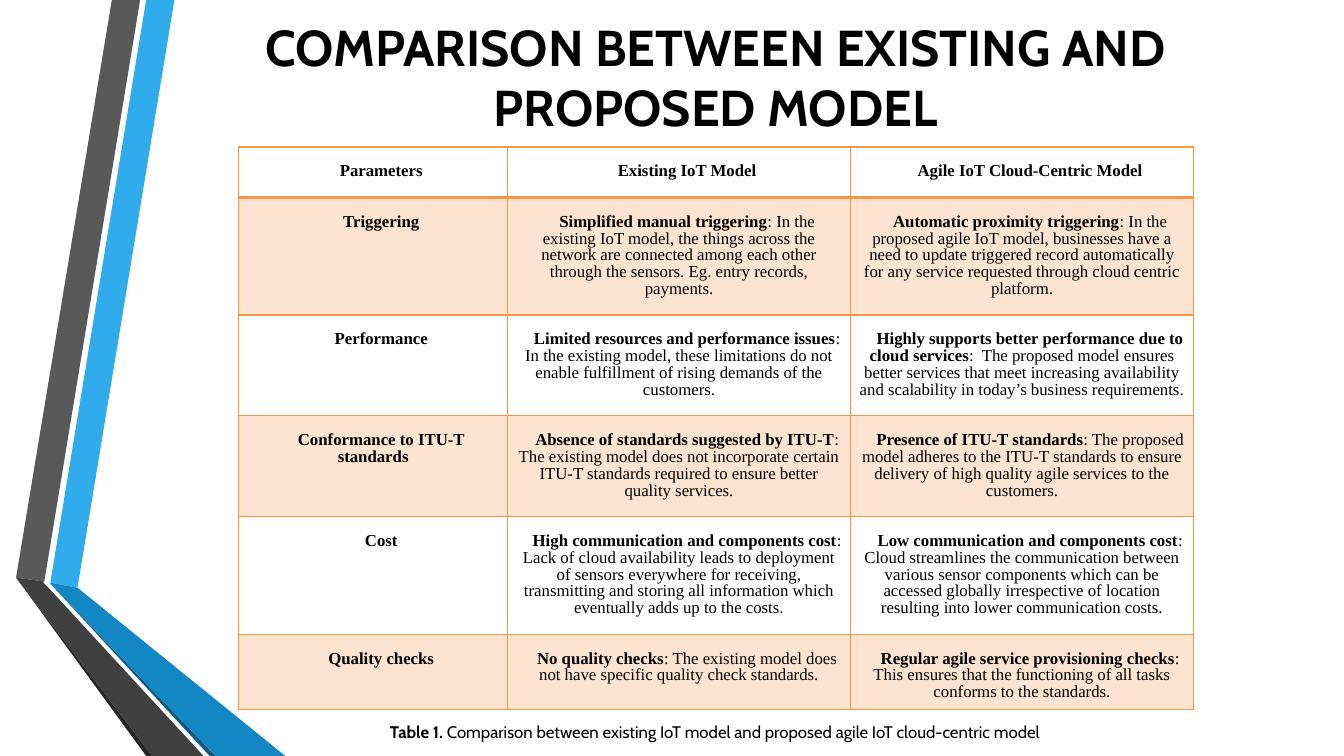
import pptx
import pptx.util
import pptx.dml.color
import pptx.enum.text
import pptx.oxml.ns
import lxml.etree

Pt = pptx.util.Pt

COLORS = {
    "text": "000000", "border": "F79646", "band": "FDE4D0",
    "blue": "30ACEC", "blue_fold": "1287C3", "blue_shade": "0C5A82",
    "gray": "595959", "gray_fold": "404040", "gray_shade": "262626",
}
HEADING_FONT, TABLE_FONT = "Cabin", "Times New Roman"

TITLE = [("COMPARISON BETWEEN EXISTING AND PROPOSED MODEL", True)]
CAPTION = [
    ("Table 1.", True),
    (" Comparison between existing IoT model and proposed agile IoT cloud-centric model", False),
]

# Each cell holds a bold lead and, where there is one, the plain text after it.
COMPARISON = [
    [("Parameters",), ("Existing IoT Model",), ("Agile IoT Cloud-Centric Model",)],
    [("Triggering",),
     ("Simplified manual triggering",
      ": In the existing IoT model, the things across the network are connected among "
      "each other through the sensors. Eg. entry records, payments."),
     ("Automatic proximity triggering",
      ": In the proposed agile IoT model, businesses have a need to update triggered "
      "record automatically for any service requested through cloud centric platform.")],
    [("Performance",),
     ("Limited resources and performance issues",
      ": In the existing model, these limitations do not enable fulfillment of rising "
      "demands of the customers."),
     ("Highly supports better performance due to cloud services",
      ":  The proposed model ensures better services that meet increasing availability "
      "and scalability in today’s business requirements.")],
    [("Conformance to ITU-T standards",),
     ("Absence of standards suggested by ITU-T",
      ": The existing model does not incorporate certain ITU-T standards required to "
      "ensure better quality services."),
     ("Presence of ITU-T standards",
      ": The proposed model adheres to the ITU-T standards to ensure delivery of high "
      "quality agile services to the customers.")],
    [("Cost",),
     ("High communication and components cost",
      ": Lack of cloud availability leads to deployment of sensors everywhere for "
      "receiving, transmitting and storing all information which eventually adds up to "
      "the costs."),
     ("Low communication and components cost",
      ": Cloud streamlines the communication between various sensor components which can "
      "be accessed globally irrespective of location resulting into lower communication "
      "costs.")],
    [("Quality checks",),
     ("No quality checks",
      ": The existing model does not have specific quality check standards."),
     ("Regular agile service provisioning checks",
      ": This ensures that the functioning of all tasks conforms to the standards.")],
]
COLUMN_WIDTHS = [192, 245, 245]
ROW_HEIGHTS = [36, 84, 72, 72, 84, 54]
TABLE_LEFT, TABLE_TOP = 170.6, 105
LINE = 12
FIRST_LINE_INDENT = 11.5

# Ribbon pieces from back to front, corners in points.
RIBBONS = [
    ("blue", [(36, 416.2), (55.4, 419.8), (124.6, 0), (104.4, 0)]),
    ("gray", [(100.1, 0), (79.9, 0), (11.5, 412.6), (31.7, 415.4)]),
    ("gray_shade", [(11.5, 412.6), (104.4, 540), (108.7, 540)]),
    ("blue_shade", [(36, 416.9), (149.8, 540), (154.1, 540)]),
    ("blue_fold", [(36, 416.9), (154.1, 540), (203.8, 540), (55.4, 419.8), (36, 416.2)]),
    ("gray_fold", [(145.4, 540), (34.6, 419.8), (31, 416.2), (31.7, 415.4),
                   (11.5, 412.6), (108.7, 540)]),
]


def rgb(name):
    return pptx.dml.color.RGBColor.from_string(COLORS[name])


def add_runs(paragraph, runs, font, size):
    paragraph.alignment = pptx.enum.text.PP_ALIGN.CENTER
    for text, bold in runs:
        run = paragraph.add_run()
        run.text = text
        run.font.name = font
        run.font.size = Pt(size)
        run.font.bold = bold
        run.font.color.rgb = rgb("text")


def add_heading(slide, box, runs, size):
    frame = slide.shapes.add_textbox(*map(Pt, box)).text_frame
    frame.word_wrap = True
    frame.vertical_anchor = pptx.enum.text.MSO_ANCHOR.MIDDLE
    add_runs(frame.paragraphs[0], runs, HEADING_FONT, size)


def add_ribbon(slide, color, corners):
    start, *others = [(Pt(x), Pt(y)) for x, y in corners]
    builder = slide.shapes.build_freeform(*start)
    builder.add_line_segments(others, close=True)
    ribbon = builder.convert_to_shape()
    ribbon.shadow.inherit = False
    ribbon.fill.solid()
    ribbon.fill.fore_color.rgb = rgb(color)
    ribbon.line.fill.background()


def set_borders(cell, widths):
    """Draw the cell's borders; widths maps lnL, lnR, lnT and lnB to points."""
    properties = cell._tc.get_or_add_tcPr()
    qn = pptx.oxml.ns.qn
    for position, (side, width) in enumerate(widths.items()):
        border = lxml.etree.Element(qn("a:" + side), w=str(Pt(width)))
        solid = lxml.etree.SubElement(border, qn("a:solidFill"))
        lxml.etree.SubElement(solid, qn("a:srgbClr"), val=COLORS["border"])
        properties.insert(position, border)


def fill_cell(cell, row, content):
    cell.margin_left = cell.margin_right = Pt(5)
    cell.margin_top, cell.margin_bottom = Pt(LINE), 0
    paragraph = cell.text_frame.paragraphs[0]
    add_runs(paragraph, [(text, i == 0) for i, text in enumerate(content)], TABLE_FONT, 12)
    paragraph.line_spacing = Pt(LINE)
    paragraph._p.get_or_add_pPr().set("indent", str(Pt(FIRST_LINE_INDENT)))
    if row % 2:
        cell.fill.solid()
        cell.fill.fore_color.rgb = rgb("band")
    else:
        cell.fill.background()
    set_borders(cell, {"lnL": 1, "lnR": 1,
                       "lnT": 2.25 if row == 1 else 1,
                       "lnB": 2.25 if row == 0 else 1})


def add_comparison(slide):
    box = (TABLE_LEFT, TABLE_TOP, sum(COLUMN_WIDTHS), sum(ROW_HEIGHTS))
    table = slide.shapes.add_table(len(ROW_HEIGHTS), len(COLUMN_WIDTHS), *map(Pt, box)).table
    table.first_row = table.horz_banding = False
    for column, width in zip(table.columns, COLUMN_WIDTHS):
        column.width = Pt(width)
    for r, (height, contents) in enumerate(zip(ROW_HEIGHTS, COMPARISON)):
        table.rows[r].height = Pt(height)
        for c, content in enumerate(contents):
            fill_cell(table.cell(r, c), r, content)


def main():
    deck = pptx.Presentation()
    deck.slide_width, deck.slide_height = Pt(960), Pt(540)
    slide = deck.slides.add_slide(deck.slide_layouts[6])
    for color, corners in RIBBONS:
        add_ribbon(slide, color, corners)
    add_heading(slide, (116.6, 18.7, 789.1, 71.3), TITLE, 36)
    add_comparison(slide)
    add_heading(slide, (225.4, 511.9, 571, 21.6), CAPTION, 12)
    deck.save("out.pptx")


if __name__ == "__main__":
    main()
